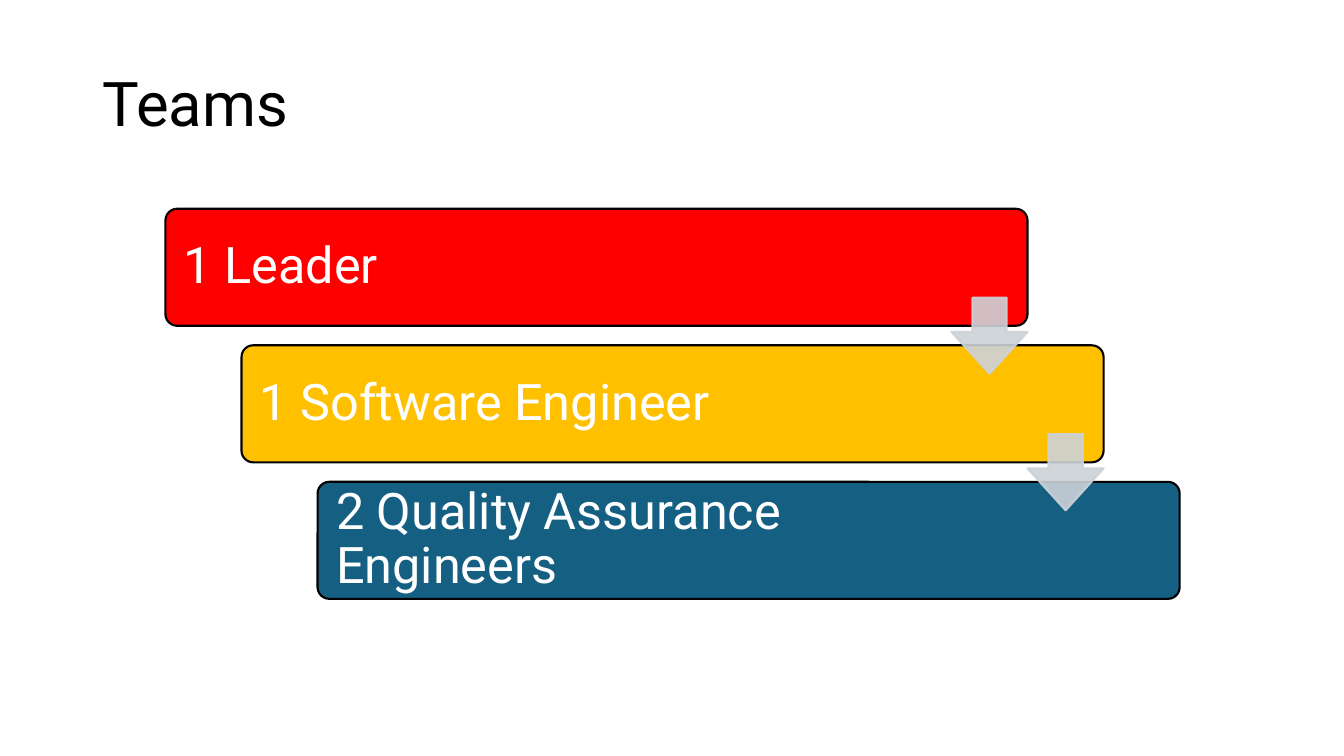
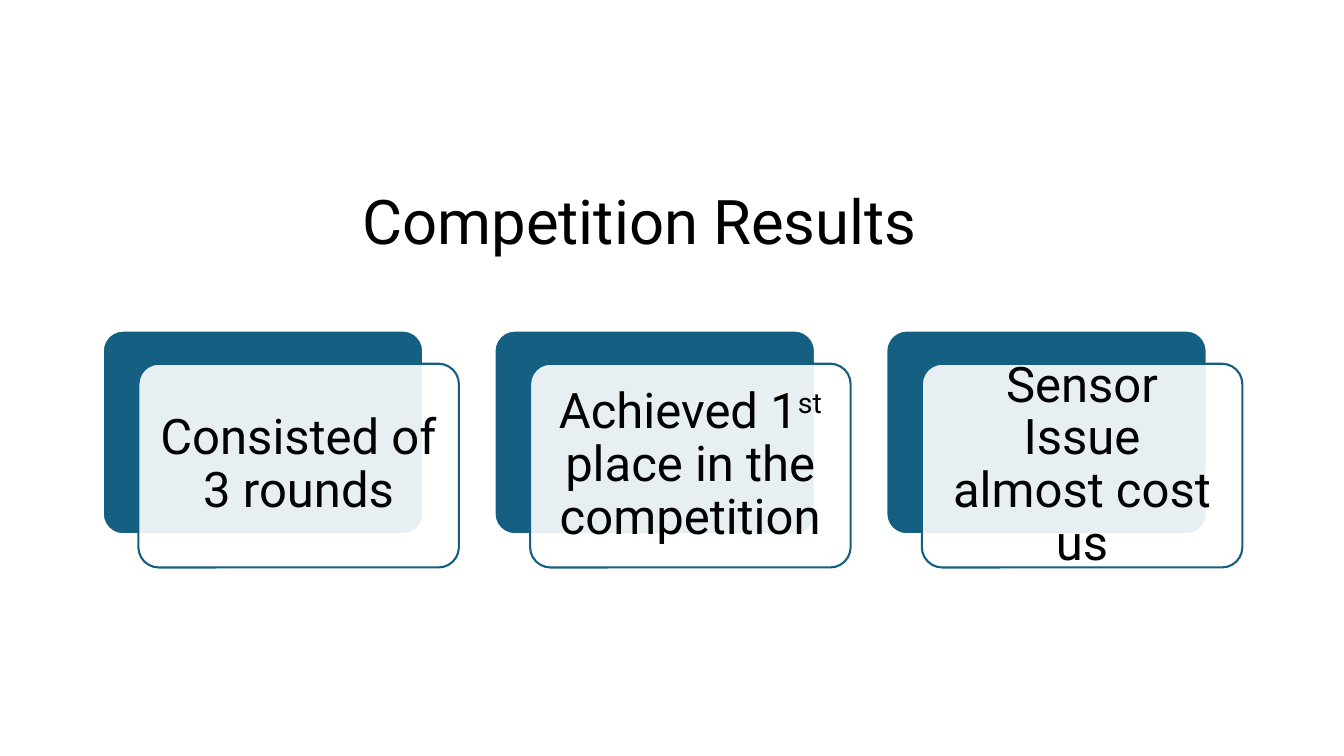
from lxml import etree
from pptx import Presentation
from pptx.dml.color import RGBColor
from pptx.enum.shapes import MSO_SHAPE as SHAPE
from pptx.enum.text import MSO_ANCHOR as ANCHOR, PP_ALIGN as ALIGN
from pptx.oxml.ns import qn
from pptx.util import Cm, Pt

FONT = "Roboto"
BLACK, WHITE, TEAL = "000000", "FFFFFF", "156082"
RED, AMBER, GREY = "FF0000", "FFC000", "CCD2D8"
INSET = 0.38


def rgb(value):
    """Turn a hex string into a colour."""
    return RGBColor.from_string(value)


def paint(fill, color, alpha=100):
    """Make a fill solid, with an opacity in percent."""
    fill.solid()
    fill.fore_color.rgb = rgb(color)
    if alpha < 100:
        for clr in fill._xPr.iter(qn("a:srgbClr")):
            etree.SubElement(clr, qn("a:alpha")).set("val", str(alpha * 1000))


def add_box(s, kind, x, y, w, h, fill, line, adj, alpha=100, line_alpha=100):
    """Add a filled and outlined preset shape."""
    sp = s.shapes.add_shape(kind, Cm(x), Cm(y), Cm(w), Cm(h))
    sp.shadow.inherit = False
    for i, value in enumerate(adj):
        sp.adjustments[i] = value
    paint(sp.fill, fill, alpha)
    paint(sp.line.fill, line, line_alpha)
    sp.line.width = Pt(1.5)
    return sp


def write(sp, text, size, color, align):
    """Write a middle-anchored paragraph; text between carets is superscript."""
    tf = sp.text_frame
    tf.word_wrap = True
    tf.vertical_anchor = ANCHOR.MIDDLE
    p = tf.paragraphs[0]
    p.alignment = align
    p.line_spacing = 0.9
    for i, part in enumerate(text.split("^")):
        r = p.add_run()
        r.text = part
        r.font.name = FONT
        r.font.size = Pt(size)
        r.font.color.rgb = rgb(color)
        if i % 2:
            r._r.get_or_add_rPr().set("baseline", "30000")
    return tf


def set_insets(tf, right=INSET):
    """Set the margins of a text frame."""
    tf.margin_left = tf.margin_top = tf.margin_bottom = Cm(INSET)
    tf.margin_right = Cm(right)


def add_title(s, text, x, y, w, h, align=ALIGN.LEFT):
    """Add the slide title."""
    sp = s.shapes.add_textbox(Cm(x), Cm(y), Cm(w), Cm(h))
    write(sp, text, 44, BLACK, align)


def add_staircase(s, x, y, w, h, steps):
    """Add bars that step down to the right, joined by arrows."""
    bar_w, bar_h = 0.85 * w, 0.3 * h
    dx = (w - bar_w) / (len(steps) - 1)
    dy = (h - bar_h) / (len(steps) - 1)
    for i, (text, color) in enumerate(steps):
        bar = add_box(s, SHAPE.ROUNDED_RECTANGLE, x + i * dx, y + i * dy,
                      bar_w, bar_h, color, BLACK, [0.1])
        set_insets(write(bar, text, 36, WHITE, ALIGN.LEFT), right=4.2)
    size = 0.65 * bar_h
    for i in range(len(steps) - 1):
        add_box(s, SHAPE.DOWN_ARROW, x + i * dx + bar_w - size,
                y + i * dy + 0.76 * bar_h, size, size,
                GREY, GREY, [0.45, 0.55], 90, 90)


def add_cards(s, x, y, w, h, texts):
    """Add a row of translucent cards, each over a solid backing card."""
    unit = w / (11 * len(texts) - 1)
    card_w, card_h = 9 * unit, 0.86 * h
    for i, text in enumerate(texts):
        left = x + 11 * unit * i
        add_box(s, SHAPE.ROUNDED_RECTANGLE, left, y, card_w, card_h,
                TEAL, WHITE, [0.1])
        card = add_box(s, SHAPE.ROUNDED_RECTANGLE, left + unit,
                       y + h - card_h, card_w, card_h,
                       WHITE, TEAL, [0.1], 90)
        set_insets(write(card, text, 35, BLACK, ALIGN.CENTER))


def teams_slide(s):
    """Build the slide of team roles."""
    add_title(s, "Teams", 2.33, 0.85, 29.21, 3.68)
    add_staircase(s, 4.17, 5.26, 25.56, 9.83, [
        ("1 Leader", RED),
        ("1 Software Engineer", AMBER),
        ("2 Quality Assurance Engineers", TEAL),
    ])


def results_slide(s):
    """Build the slide of competition results."""
    add_title(s, "Competition Results", 1.78, 3.58, 28.7, 4.14, ALIGN.CENTER)
    add_cards(s, 2.59, 8.33, 28.72, 5.97, [
        "Consisted of 3 rounds",
        "Achieved 1^st^ place in the competition",
        "Sensor Issue almost cost us",
    ])


def main():
    """Build and save the presentation."""
    prs = Presentation()
    prs.slide_width, prs.slide_height = Cm(33.87), Cm(19.05)
    for build in (teams_slide, results_slide):
        build(prs.slides.add_slide(prs.slide_layouts[6]))
    prs.save("out.pptx")


if __name__ == "__main__":
    main()
